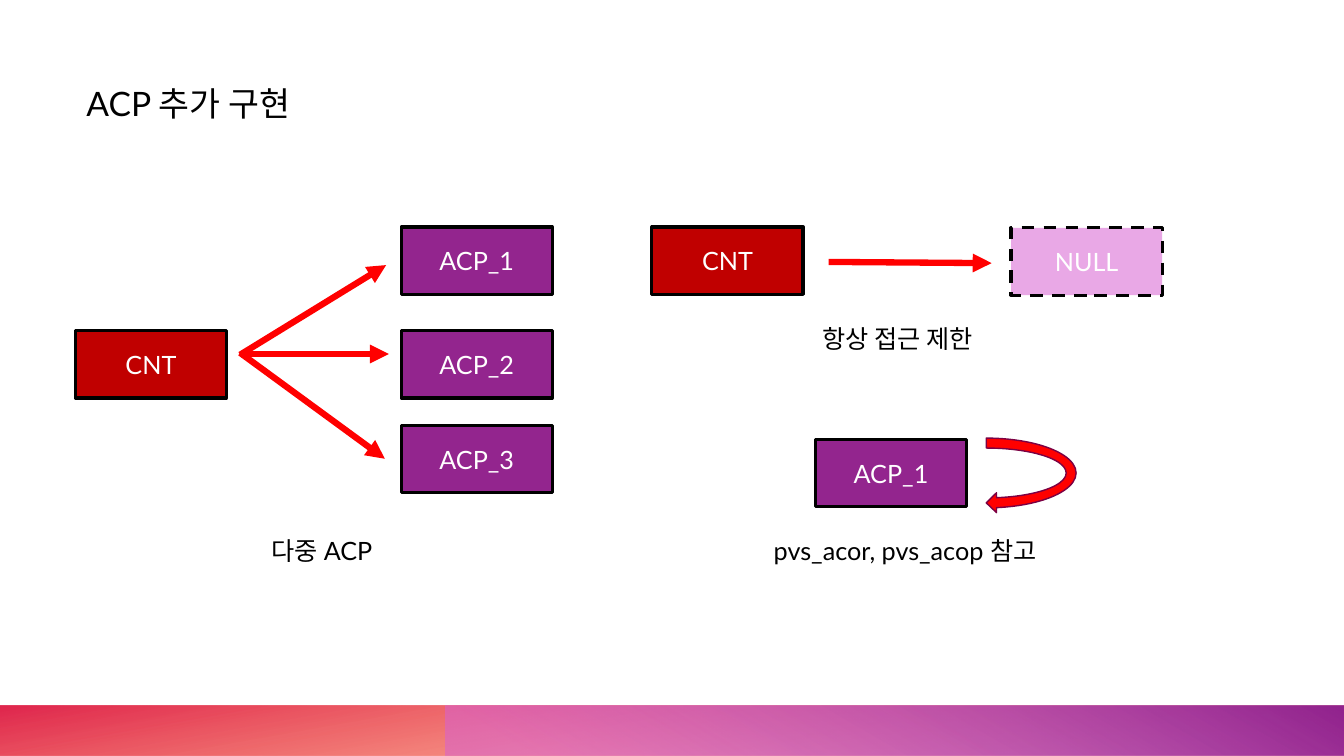
from lxml import etree
from pptx import Presentation
from pptx.dml.color import RGBColor
from pptx.enum.dml import MSO_LINE
from pptx.enum.shapes import MSO_CONNECTOR, MSO_SHAPE
from pptx.enum.text import MSO_ANCHOR, MSO_AUTO_SIZE, PP_ALIGN
from pptx.oxml.ns import qn
from pptx.util import Cm, Pt

RECTANGLE = MSO_SHAPE.RECTANGLE
CIRCULAR_ARROW = MSO_SHAPE.CIRCULAR_ARROW
STRAIGHT = MSO_CONNECTOR.STRAIGHT
DASH = MSO_LINE.DASH
MIDDLE = MSO_ANCHOR.MIDDLE
CENTER = PP_ALIGN.CENTER
FIT_SHAPE = MSO_AUTO_SIZE.SHAPE_TO_FIT_TEXT

FONT = "Lato"
BLACK, WHITE, RED = "000000", "FFFFFF", "FF0000"
CRIMSON, PURPLE, PINK, MAROON = "C00000", "93258E", "E9A8E6", "7B0144"
SLIDE_WIDTH, SLIDE_HEIGHT = 33.87, 19.05
BAND_HEIGHT = 1.27
BOX_WIDTH, BOX_HEIGHT = 3.81, 1.7
TOP_ROW = 5.72
ACP_LEFT = 10.11
CAPTION_TOP = 13.36


def color(value):
    """Turn a hex string into a colour."""
    return RGBColor.from_string(value)


def add_run(paragraph, text, size, text_color):
    """Add one formatted run to a paragraph."""
    run = paragraph.add_run()
    run.text = text
    run.font.name = FONT
    run.font.size = Pt(size)
    run.font.color.rgb = color(text_color)


def add_shape(slide, kind, left, top, width, height):
    """Add a preset shape without a shadow."""
    shape = slide.shapes.add_shape(kind, Cm(left), Cm(top), Cm(width), Cm(height))
    shape.shadow.inherit = False
    return shape


def paint(shape, fill, line, weight):
    """Give a shape a solid fill and an outline."""
    shape.fill.solid()
    shape.fill.fore_color.rgb = color(fill)
    shape.line.color.rgb = color(line)
    shape.line.width = Pt(weight)


def add_band(slide, left, stops, angle, rotation=0):
    """Add a mirrored gradient band from left to the right slide edge."""
    top = SLIDE_HEIGHT - BAND_HEIGHT
    band = add_shape(slide, RECTANGLE, left, top, SLIDE_WIDTH - left, BAND_HEIGHT)
    band.rotation = rotation
    band.element.spPr.find(qn("a:xfrm")).set("flipH", "1")
    band.line.fill.background()
    band.fill.gradient()
    band.fill.gradient_angle = 360 - angle
    for stop, (position, value, _) in zip(band.fill.gradient_stops, stops):
        stop.position = position / 100
        stop.color.rgb = color(value)
    stop_colors = band.element.spPr.iter(qn("a:srgbClr"))
    for stop_color, (_, _, opacity) in zip(stop_colors, stops):
        etree.SubElement(stop_color, qn("a:alpha")).set("val", str(opacity * 1000))


def add_box(slide, text, left, top, fill, dash=None):
    """Add a labelled box with a black outline."""
    box = add_shape(slide, RECTANGLE, left, top, BOX_WIDTH, BOX_HEIGHT)
    paint(box, fill, BLACK, 2.25)
    if dash is not None:
        box.line.dash_style = dash
    box.text_frame.vertical_anchor = MIDDLE
    paragraph = box.text_frame.paragraphs[0]
    paragraph.alignment = CENTER
    add_run(paragraph, text, 18, WHITE)


def add_arrow(slide, start, end):
    """Add a thick red arrow between two points."""
    points = [Cm(value) for value in (*start, *end)]
    arrow = slide.shapes.add_connector(STRAIGHT, *points)
    arrow.line.color.rgb = color(RED)
    arrow.line.width = Pt(4.5)
    etree.SubElement(arrow.line._get_or_add_ln(), qn("a:tailEnd")).set("type", "triangle")
    etree.SubElement(arrow.element.spPr, qn("a:effectLst"))


def add_loop_arrow(slide):
    """Add the curved arrow that returns to its own box."""
    loop = add_shape(slide, CIRCULAR_ARROW, 23.85, 9.53, 2.01, 4.78)
    loop.rotation = 90
    paint(loop, RED, MAROON, 1)


def add_text(slide, text, left, top, width=10.16, height=1.02, size=18):
    """Add a line of black text."""
    box = slide.shapes.add_textbox(Cm(left), Cm(top), Cm(width), Cm(height))
    box.text_frame.word_wrap = True
    box.text_frame.auto_size = FIT_SHAPE
    add_run(box.text_frame.paragraphs[0], text, size, BLACK)


def main():
    """Build the slide and save it."""
    presentation = Presentation()
    presentation.slide_width = Cm(SLIDE_WIDTH)
    presentation.slide_height = Cm(SLIDE_HEIGHT)
    slide = presentation.slides.add_slide(presentation.slide_layouts[6])

    add_band(slide, 0, [(14, "FE4A00", 28), (100, "DA002F", 85)], 100, 180)
    add_band(slide, 11.23, [(9, "D861D4", 55), (99, "92248E", 100)], 240)
    add_text(slide, "ACP 추가 구현", 1.93, 1.96, 20.83, 1.28, 24)

    for number, top in enumerate((TOP_ROW, 8.33, 10.72), start=1):
        add_box(slide, f"ACP_{number}", ACP_LEFT, top, PURPLE)
    add_box(slide, "CNT", 1.9, 8.33, CRIMSON)
    add_arrow(slide, (6.05, 8.94), (9.73, 6.68))
    add_arrow(slide, (6.12, 8.92), (9.8, 8.92))
    add_arrow(slide, (6.05, 8.89), (9.7, 11.56))
    add_text(slide, "다중 ACP", 6.6, CAPTION_TOP)

    add_box(slide, "CNT", 16.43, TOP_ROW, CRIMSON)
    add_arrow(slide, (20.88, 6.6), (24.99, 6.63))
    add_box(slide, "NULL", 25.48, 5.74, PINK, DASH)
    add_text(slide, "항상 접근 제한", 20.47, 8.03)

    add_box(slide, "ACP_1", 20.55, 11.07, PURPLE)
    add_loop_arrow(slide)
    add_text(slide, "pvs_acor, pvs_acop 참고", 19.25, CAPTION_TOP)

    presentation.save("out.pptx")


if __name__ == "__main__":
    main()
